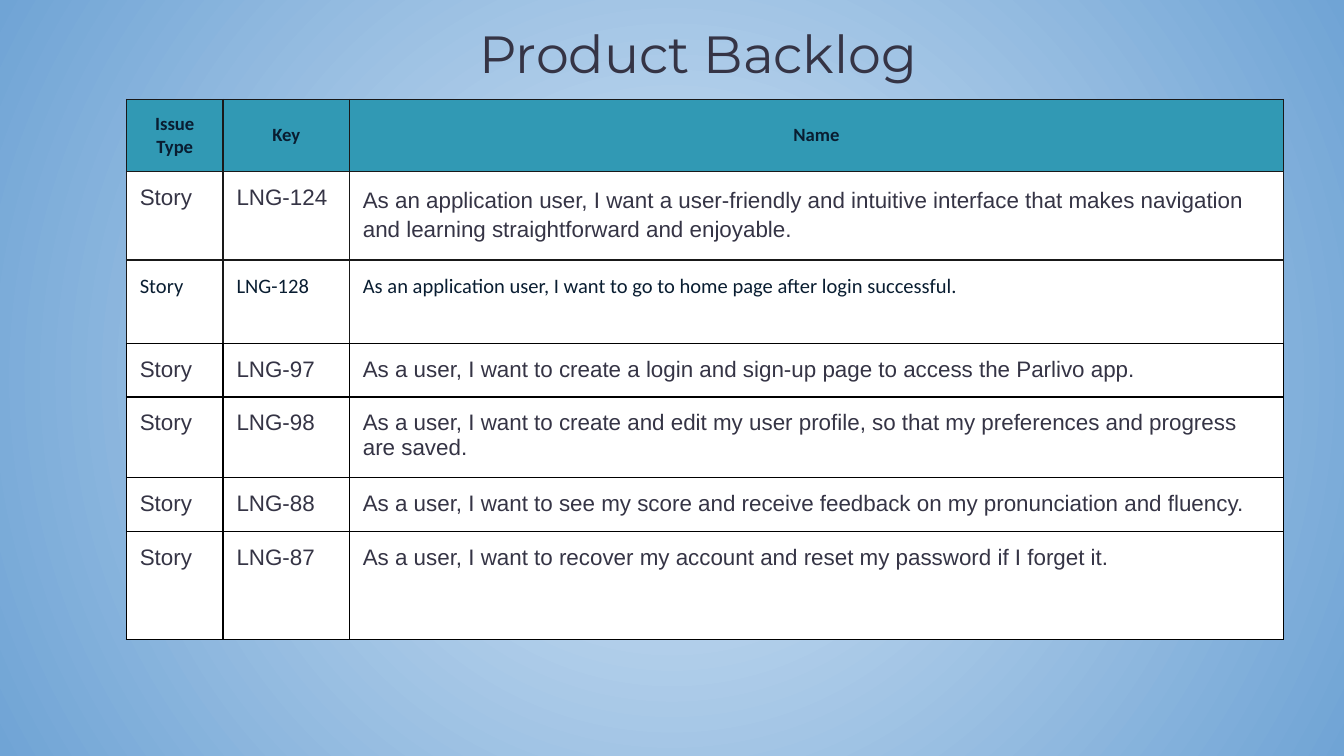
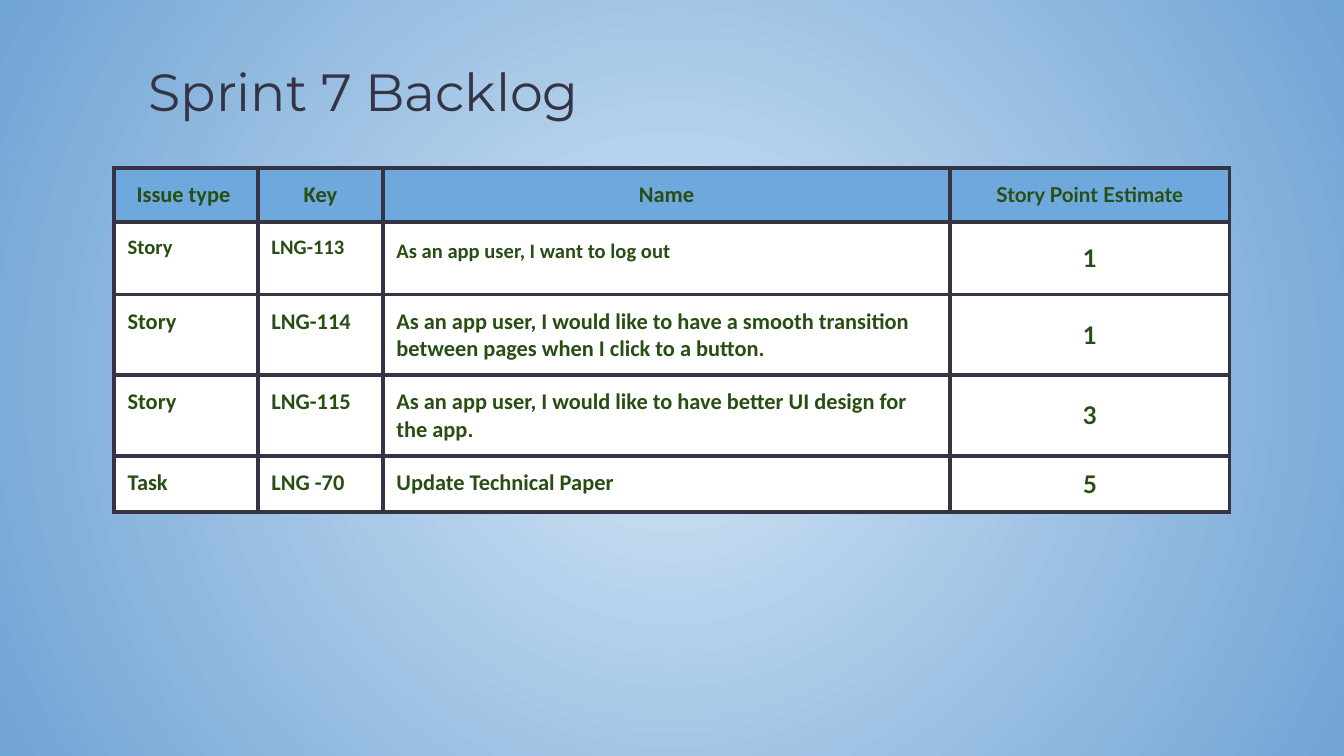
"""Build the product backlog and sprint backlog slides."""
from collections import namedtuple

from lxml import etree
from pptx import Presentation
from pptx.dml.color import RGBColor
from pptx.enum import text as t
from pptx.oxml.ns import qn
from pptx.util import Inches, Pt

GLOW = RGBColor(0xD4, 0xE5, 0xF5)
SKY = RGBColor(0x70, 0xA4, 0xD5)
INK = RGBColor(0x35, 0x34, 0x45)
NAVY = RGBColor(0x09, 0x1D, 0x31)
GREEN = RGBColor(0x27, 0x4E, 0x13)
TEAL = RGBColor(0x31, 0x99, 0xB4)
BLUE = RGBColor(0x6F, 0xA8, 0xDC)
CHARCOAL = RGBColor(0x19, 0x19, 0x19)
BLACK = RGBColor(0, 0, 0)
WHITE = RGBColor(0xFF, 0xFF, 0xFF)

SLIDE_WIDTH = Inches(10)
SLIDE_HEIGHT = SLIDE_WIDTH * 9 // 16
INSET = Inches(0.1)
Style = namedtuple("Style", "font size color bold", defaults=(False,))
Row = namedtuple("Row", "height style border texts spacing", defaults=(None,))

TITLE = Style("Montserrat", 28, INK)
PRODUCT_HEAD = Style("Calibri", 10, NAVY, True)
PRODUCT_BODY = Style("Arial", 12, INK)
PRODUCT_SMALL = Style("Calibri", 11, NAVY)
SPRINT_BODY = Style("Calibri", 12, GREEN, True)
SPRINT_SMALL = Style("Calibri", 11, GREEN, True)
POINTS_HEAD = Style("Lato", 11, GREEN, True)
POINTS_BODY = Style("Lato", 13, GREEN, True)

PRODUCT_ROWS = [
    Row(0.53, PRODUCT_HEAD, CHARCOAL, ["Issue Type", "Key", "Name"]),
    Row(0.66, PRODUCT_BODY, CHARCOAL, [
        "Story", "LNG-124",
        "As an application user, I want a user-friendly and intuitive interface "
        "that makes navigation and learning straightforward and enjoyable."], 1.15),
    Row(0.62, PRODUCT_SMALL, CHARCOAL, [
        "Story", "LNG-128",
        "As an application user, I want to go to home page after login successful."]),
    Row(0.4, PRODUCT_BODY, BLACK, [
        "Story", "LNG-97",
        "As a user, I want to create a login and sign-up page to access the Parlivo app."]),
    Row(0.6, PRODUCT_BODY, BLACK, [
        "Story", "LNG-98",
        "As a user, I want to create and edit my user profile, so that my "
        "preferences and progress are saved."]),
    Row(0.4, PRODUCT_BODY, BLACK, [
        "Story", "LNG-88",
        "As a user, I want to see my score and receive feedback on my "
        "pronunciation and fluency."]),
    Row(0.8, PRODUCT_BODY, BLACK, [
        "Story", "LNG-87",
        "As a user, I want to recover my account and reset my password if I forget it."]),
]

SPRINT_ROWS = [
    Row(0.4, SPRINT_BODY, INK, ["Issue type ", "Key", "Name", "Story Point Estimate"]),
    Row(0.54, SPRINT_SMALL, INK, [
        "Story", "LNG-113", "As an app user, I want to log out", "1"], 1.15),
    Row(0.6, SPRINT_BODY, INK, [
        "Story", "LNG-114",
        "As an app user, I would like to have a smooth transition between pages "
        "when I click to a button.", "1"]),
    Row(0.6, SPRINT_BODY, INK, [
        "Story", "LNG-115",
        "As an app user, I would like to have better UI design for the app.", "3"]),
    Row(0.41, SPRINT_BODY, INK, ["Task", "LNG -70", "Update Technical Paper", "5"]),
]


def set_text(tf, content, style, align):
    """Put one styled paragraph in a text frame and return it."""
    tf.text = content
    tf.word_wrap = True
    p = tf.paragraphs[0]
    p.alignment = align
    font = p.runs[0].font
    font.name, font.size, font.bold = style.font, Pt(style.size), style.bold
    font.color.rgb = style.color
    return p


def add_slide(prs):
    """Add a blank slide with the radial background."""
    s = prs.slides.add_slide(prs.slide_layouts[6])
    fill = s.background.fill
    fill.gradient()
    for stop, color in zip(fill.gradient_stops, (GLOW, SKY)):
        stop.color.rgb = color
    lin = next(s.element.iter(qn("a:lin")))
    radial = etree.Element(qn("a:path"), {"path": "circle"})
    etree.SubElement(radial, qn("a:fillToRect"), dict.fromkeys("ltrb", "50000"))
    lin.getparent().replace(lin, radial)
    return s


def add_title(s, left, top, content, align):
    """Add the slide title."""
    sp = s.shapes.add_textbox(Inches(left), Inches(top), Inches(7.99), Inches(0.67))
    tf = sp.text_frame
    tf.margin_left = tf.margin_right = tf.margin_top = tf.margin_bottom = INSET
    set_text(tf, content, TITLE, align)
    tf.auto_size = t.MSO_AUTO_SIZE.SHAPE_TO_FIT_TEXT


def set_borders(cell, color, width):
    """Draw the four sides of a cell."""
    props = cell._tc.get_or_add_tcPr()
    for side in "LRTB":
        ln = etree.SubElement(props, qn(f"a:ln{side}"), w=str(Pt(width)))
        solid = etree.SubElement(ln, qn("a:solidFill"))
        etree.SubElement(solid, qn("a:srgbClr"), val=str(color))


def add_backlog(s, left, top, widths, rows, head_fill, line_width):
    """Add a backlog table whose fourth column, if any, holds story points."""
    height = sum(row.height for row in rows)
    table = s.shapes.add_table(len(rows), len(widths), Inches(left), Inches(top),
                               Inches(sum(widths)), Inches(height)).table
    table.first_row = table.horz_banding = False
    for column, width in zip(table.columns, widths):
        column.width = Inches(width)
    for i, row in enumerate(rows):
        table.rows[i].height = Inches(row.height)
        for j, content in enumerate(row.texts):
            cell = table.cell(i, j)
            is_head, is_points = i == 0, j == 3
            centred = is_head or is_points
            style = row.style
            if is_points:
                style = POINTS_HEAD if is_head else POINTS_BODY
            set_borders(cell, row.border, line_width)
            cell.fill.solid()
            cell.fill.fore_color.rgb = head_fill if is_head else WHITE
            cell.margin_left = cell.margin_right = INSET
            cell.margin_top = cell.margin_bottom = INSET
            cell.vertical_anchor = t.MSO_ANCHOR.MIDDLE if centred else t.MSO_ANCHOR.TOP
            p = set_text(cell.text_frame, content, style,
                         t.PP_ALIGN.CENTER if centred else t.PP_ALIGN.LEFT)
            if j == 2 and row.spacing:
                p.line_spacing = row.spacing


def main():
    """Build both slides and save the deck."""
    prs = Presentation()
    prs.slide_width, prs.slide_height = SLIDE_WIDTH, SLIDE_HEIGHT

    s = add_slide(prs)
    add_title(s, 1.2, 0.06, "Product Backlog", t.PP_ALIGN.CENTER)
    add_backlog(s, 0.94, 0.74, [0.72, 0.94, 6.95], PRODUCT_ROWS, TEAL, 0.75)

    s = add_slide(prs)
    add_title(s, 1.01, 0.34, "Sprint 7 Backlog", t.PP_ALIGN.LEFT)
    add_backlog(s, 0.85, 1.25, [1.07, 0.93, 4.22, 2.08], SPRINT_ROWS, BLUE, 2.25)

    prs.save("out.pptx")


if __name__ == "__main__":
    main()
